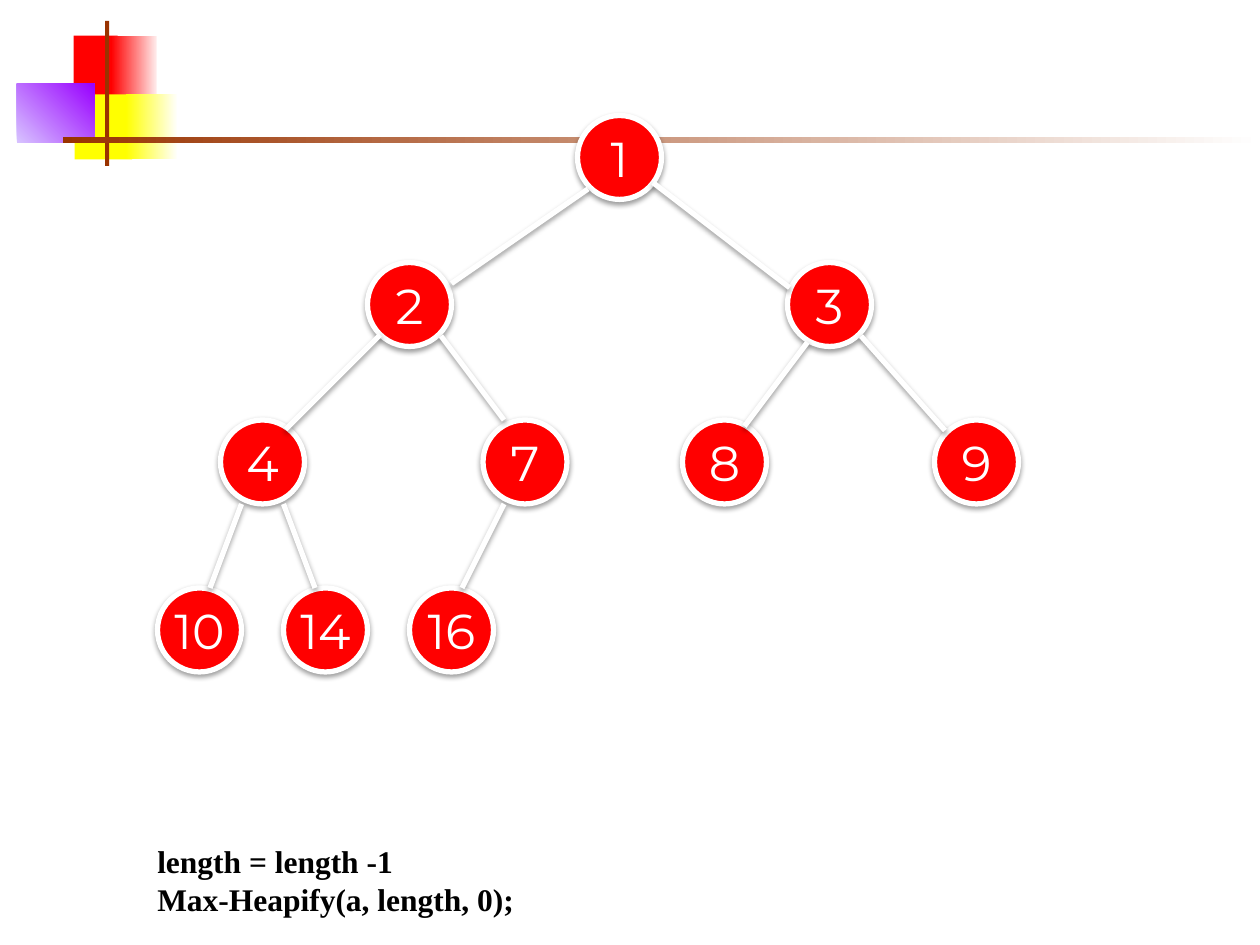
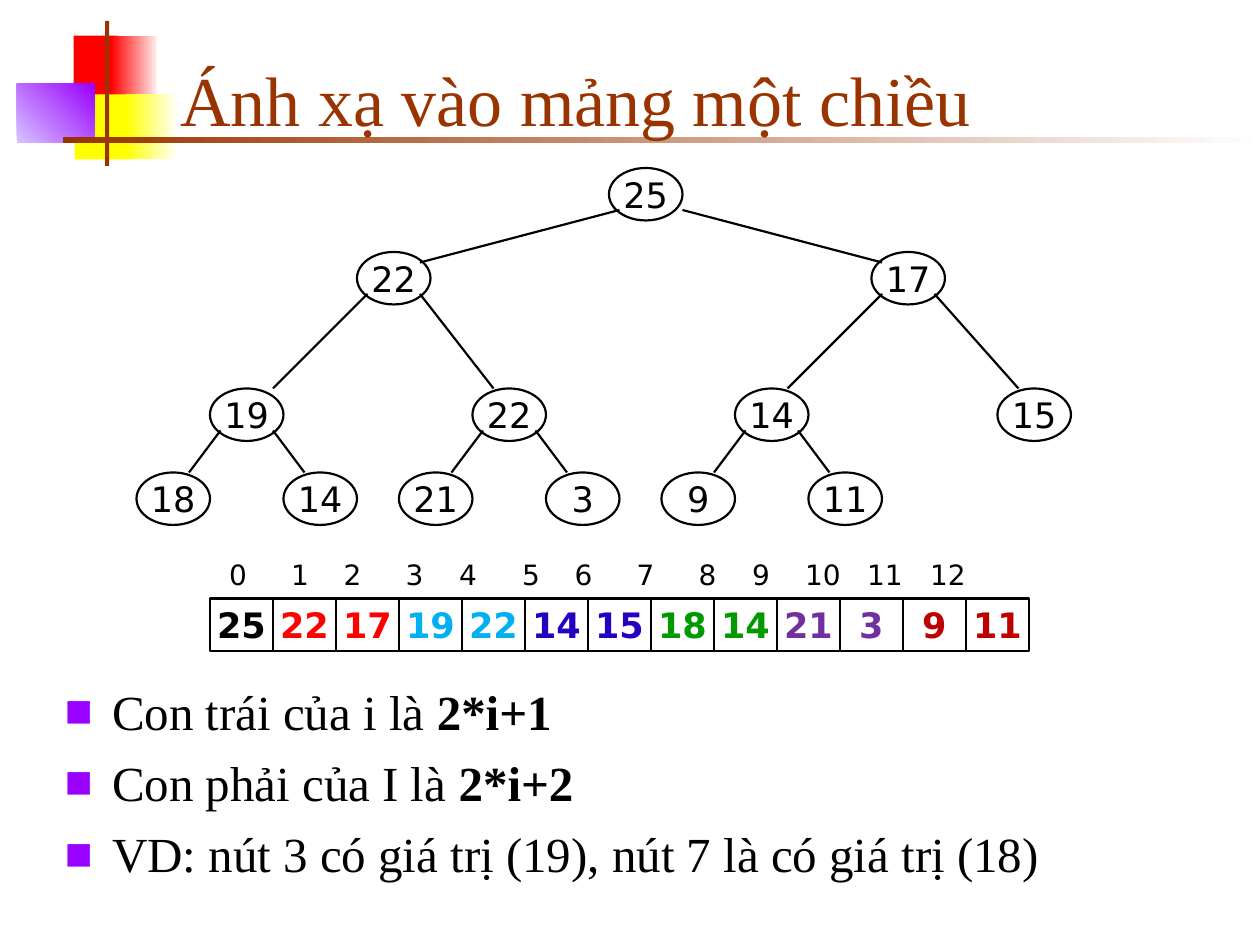
"""Build two slides on heaps: a sorted tree, and a tree mapped to an array."""
from dataclasses import dataclass

from lxml.etree import SubElement as Sub
from pptx import Presentation
from pptx.dml.color import RGBColor as Rgb
from pptx.enum.shapes import MSO_CONNECTOR as Link, MSO_SHAPE as Form
from pptx.enum.text import MSO_ANCHOR as Anchor, PP_ALIGN as Align
from pptx.oxml.ns import qn
from pptx.util import Emu, Pt

SCALE = 7620


@dataclass(frozen=True)
class Theme:
    serif: str = "Times New Roman"
    sans: str = "DejaVu Sans"
    round: str = "Montserrat"
    black: str = "000000"
    white: str = "FFFFFF"
    red: str = "FF0000"
    yellow: str = "FFFF00"
    violet: str = "9900FF"
    brown: str = "993300"
    pink: str = "FFEAEA"
    cream: str = "FFFFF8"
    lilac: str = "D8C4FF"
    hues: tuple = ("000000", "FF0000", "00B0F0", "2600BF",
                   "009900", "7030A0", "BF0000")
    title: int = 40
    body: int = 28
    value: int = 20
    code: int = 18
    index: int = 16


T = Theme()


@dataclass(frozen=True)
class Style:
    size: tuple
    fill: str
    line: str
    width: float
    font: str
    points: int
    shade: bool = False


RED = Style((80, 80), T.red, T.white, 3, T.round, T.body, True)
PLAIN = Style((70, 50), None, T.black, 1.25, T.sans, T.value)


def px(*nums):
    return [Emu(n * SCALE) for n in nums]


def paint(fill, color):
    if color:
        fill.solid()
        fill.fore_color.rgb = Rgb.from_string(color)
    else:
        fill.background()


def set_font(para, name, size, color, bold=False):
    font = para.font
    font.name, font.size, font.bold = name, Pt(size), bold
    font.color.rgb = Rgb.from_string(color)


def set_line(shape, style):
    shape.line.color.rgb = Rgb.from_string(style.line)
    shape.line.width = Pt(style.width)


def set_shade(shape, shade):
    effects = Sub(shape.element.spPr, qn("a:effectLst"))
    if shade:
        outer = Sub(effects, qn("a:outerShdw"), blurRad="40000",
                    dist="20000", dir="5400000", rotWithShape="0")
        color = Sub(outer, qn("a:srgbClr"), val=T.black)
        Sub(color, qn("a:alpha"), val="38000")


def add_band(slide, box, start, end=None, angle=0):
    band = slide.shapes.add_shape(Form.RECTANGLE, *px(*box))
    band.line.fill.background()
    if end:
        band.fill.gradient()
        band.fill.gradient_angle = angle
        for stop, color in zip(band.fill.gradient_stops, (start, end)):
            stop.color.rgb = Rgb.from_string(color)
    else:
        paint(band.fill, start)
    set_shade(band, False)


def add_frame(slide):
    add_band(slide, (70, 34, 42, 62), T.red)
    add_band(slide, (106, 34, 43, 62), T.red, T.pink)
    add_band(slide, (71, 90, 55, 62), T.yellow)
    add_band(slide, (120, 90, 48, 62), T.yellow, T.cream)
    add_band(slide, (16, 80, 74, 56), T.lilac, T.violet, 45)
    add_band(slide, (100, 20, 4, 138), T.brown)
    add_band(slide, (60, 130, 1140, 6), T.brown, T.white)


def add_cell(slide, form, spot, size, text, style, color, bold=False):
    cell = slide.shapes.add_shape(form, *px(*spot, *size))
    paint(cell.fill, style.fill)
    set_line(cell, style)
    set_shade(cell, style.shade)
    frame = cell.text_frame
    frame.word_wrap = False
    frame.vertical_anchor = Anchor.MIDDLE
    para = frame.paragraphs[0]
    para.text = str(text)
    para.alignment = Align.CENTER
    set_font(para, style.font, style.points, color, bold)


def add_edge(slide, start, end, style):
    edge = slide.shapes.add_connector(Link.STRAIGHT, *px(*start, *end))
    set_line(edge, style)
    set_shade(edge, style.shade)


def add_tree(slide, values, spots, joints, style, color):
    """Draw nodes in heap order; joints are offsets from parent and child."""
    for value, spot in zip(values, spots):
        add_cell(slide, Form.OVAL, spot, style.size, value, style, color)
    for i, (out_x, out_y, in_x, in_y) in enumerate(joints, 1):
        (left, top), (x, y) = spots[(i - 1) // 2], spots[i]
        add_edge(slide, (left + out_x, top + out_y), (x + in_x, y + in_y),
                 style)


def add_text(slide, box, lines, name, size, color, bold=False, wrap=True):
    frame = slide.shapes.add_textbox(*px(*box)).text_frame
    frame.word_wrap = wrap
    for i, line in enumerate(lines):
        para = frame.add_paragraph() if i else frame.paragraphs[0]
        set_font(para, name, size, color, bold)
        for j, part in enumerate(line):
            run = para.add_run()
            run.text = part
            if j:
                run.font.bold = True
    return frame


def add_bullet(para):
    para.space_after = Pt(7)
    props = para._p.get_or_add_pPr()
    indent = px(45)[0]
    props.set("marL", str(indent))
    props.set("indent", str(-indent))
    color = Sub(props, qn("a:buClr"))
    Sub(color, qn("a:srgbClr"), val=T.violet)
    Sub(props, qn("a:buSzPct"), val="60000")
    Sub(props, qn("a:buFont"), typeface=T.sans)
    Sub(props, qn("a:buChar"), char="■")


def add_tabs(para, stops):
    tabs = Sub(para._p.get_or_add_pPr(), qn("a:tabLst"))
    for stop in px(*stops):
        Sub(tabs, qn("a:tab"), pos=str(stop), algn="ctr")


def add_array(slide, values):
    for i, value in enumerate(values):
        add_cell(slide, Form.RECTANGLE, (200 + 60 * i, 570), (60, 50), value,
                 PLAIN, T.hues[(i + 1) // 2], True)
    label = "".join(f"\t{i}" for i in range(len(values)))
    frame = add_text(slide, (190, 525, 830, 44), [[label]], T.sans, T.index,
                     T.black)
    add_tabs(frame.paragraphs[0], (25, 84, 134, 193, 244, 304, 354, 413,
                                   472, 523, 582, 641, 701))


def sorted_slide(slide):
    values = (1, 2, 3, 4, 7, 8, 9, 10, 14, 16)
    spots = [(550, 110), (350, 250), (750, 250)]
    spots += [(x, 400) for x in (210, 460, 650, 890)]
    spots += [(150 + 120 * i, 560) for i in range(3)]
    joints = [(10, 70, 80, 20), (72, 64, 2, 24), (12, 69, 62, 9),
              (70, 70, 20, 0), (19, 76, 59, 6), (70, 70, 10, 10),
              (20, 80, 50, 0), (60, 80, 30, 0), (20, 80, 50, 0)]
    add_tree(slide, values, spots, joints, RED, T.white)
    add_text(slide, (138, 796, 367, 85),
             [["length = length -1"], ["Max-Heapify(a, length, 0);"]],
             T.serif, T.code, T.black, bold=True, wrap=False)


def array_slide(slide):
    title = add_text(slide, (160, 30, 1022, 110),
                     [["Ánh xạ vào mảng một chiều"]],
                     T.serif, T.title, T.brown)
    title.vertical_anchor = Anchor.BOTTOM
    body = add_text(slide, (50, 643, 1126, 162),
                    [["Con trái của i là ", "2*i+1"],
                     ["Con phải của I là ", "2*i+2"],
                     ["VD: nút 3 có giá trị (19), nút 7 là có giá trị (18)"]],
                    T.serif, T.body, T.black)
    for para in body.paragraphs:
        add_bullet(para)
    values = (25, 22, 17, 19, 22, 14, 15, 18, 14, 21, 3, 9, 11)
    row = [(200 + 250 * i, 370) for i in range(4)]
    leaves = [(x + dx, 450) for x, _ in row[:3] for dx in (-70, 70)]
    spots = [(580, 160), (340, 240), (830, 240)] + row + leaves
    pair = [(10, 40, 50, 0), (60, 40, 20, 0)]
    joints = [(10, 40, 60, 10), (70, 40, 10, 10),
              (10, 40, 60, 0), (60, 40, 20, 0)] + pair * 4
    add_tree(slide, values, spots, joints, PLAIN, T.black)
    add_array(slide, values)


def main():
    deck = Presentation()
    deck.slide_width, deck.slide_height = px(1200, 900)
    for build in (sorted_slide, array_slide):
        slide = deck.slides.add_slide(deck.slide_layouts[6])
        add_frame(slide)
        build(slide)
    deck.save("out.pptx")


if __name__ == "__main__":
    main()
